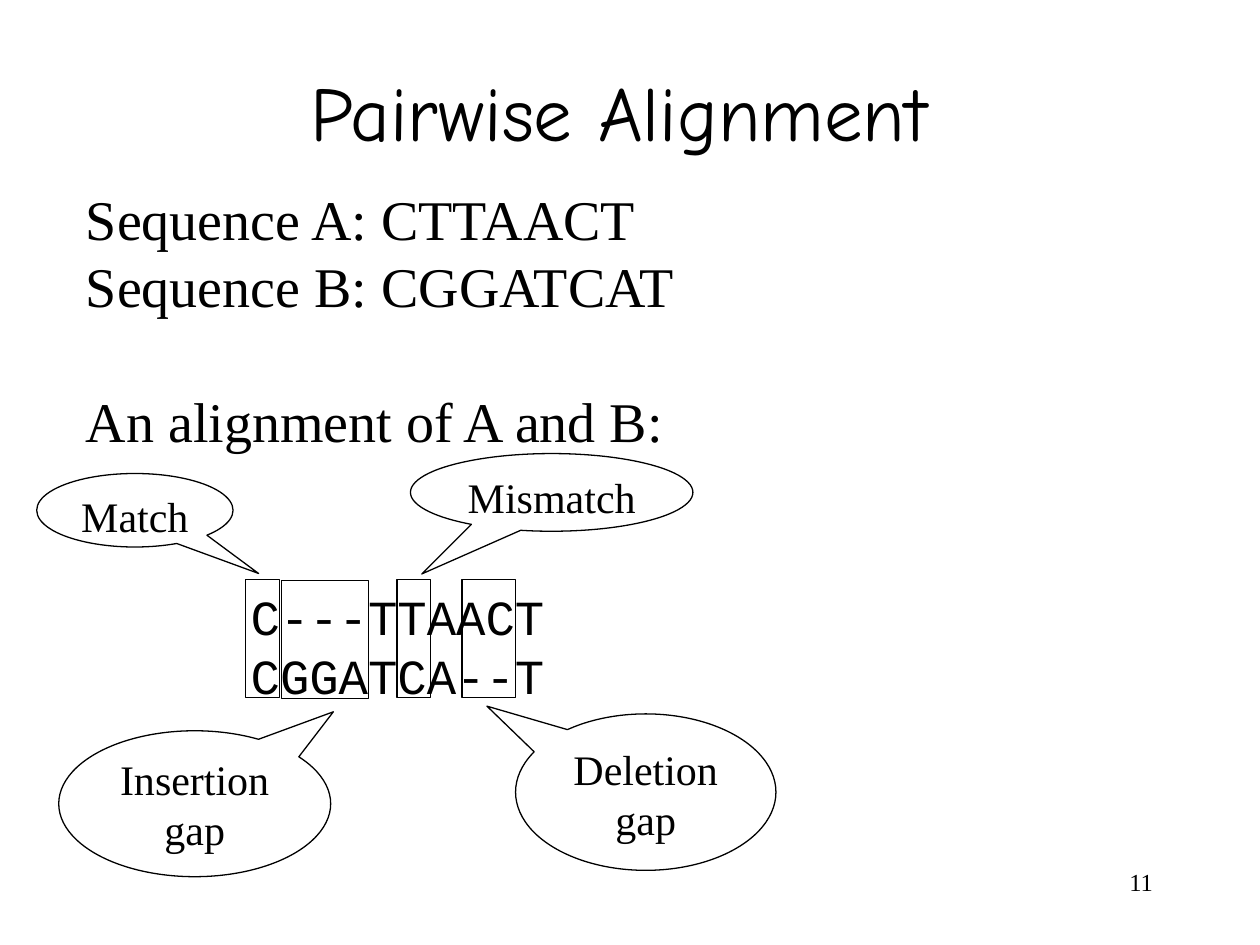
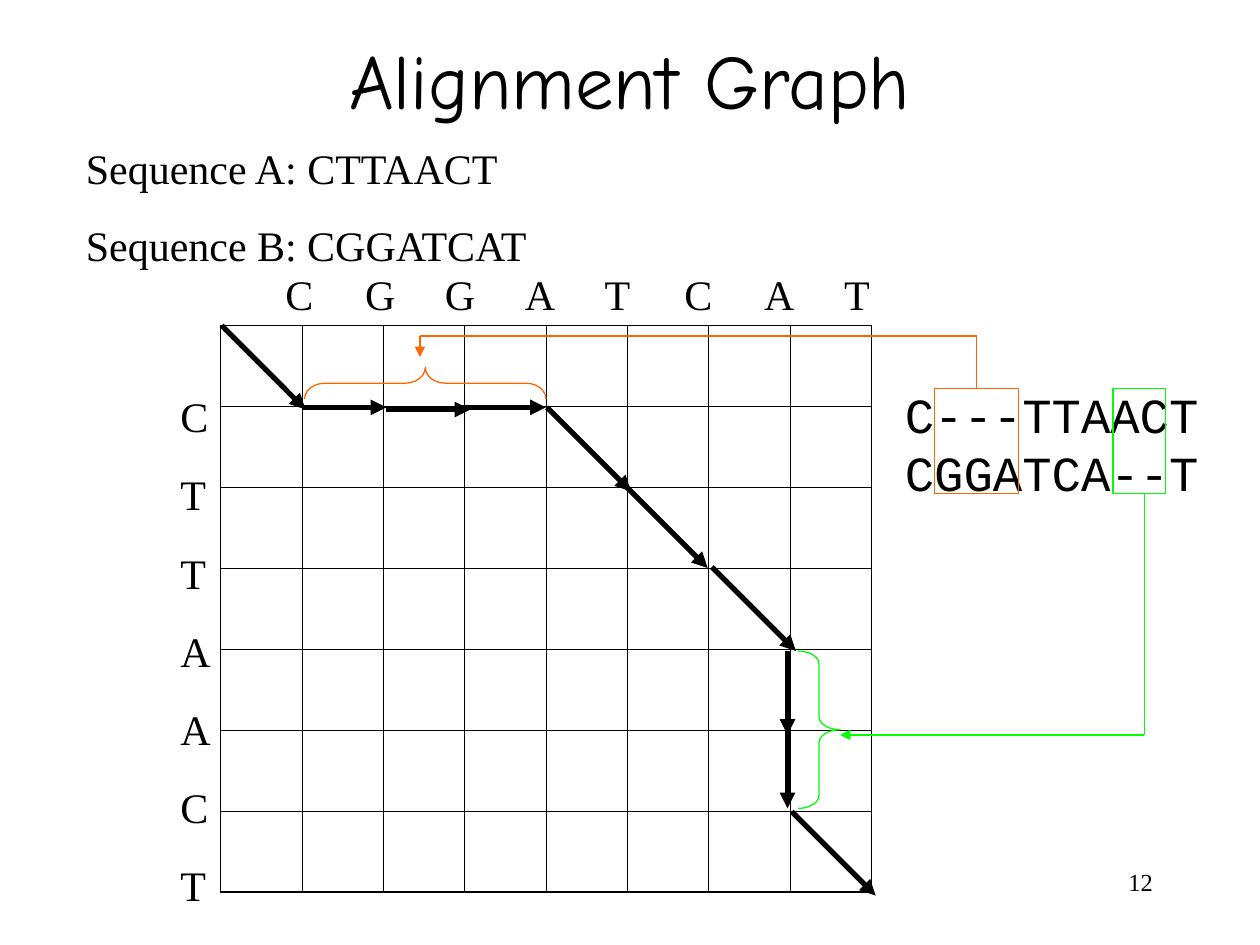
from dataclasses import dataclass
from typing import NamedTuple

from lxml.etree import SubElement
from pptx import Presentation
from pptx.dml.color import RGBColor
from pptx.enum.shapes import MSO_CONNECTOR, MSO_SHAPE
from pptx.enum.text import MSO_ANCHOR, MSO_AUTO_SIZE, PP_ALIGN
from pptx.oxml.ns import qn
from pptx.util import Inches, Pt

COLUMNS, ROWS = 120, 90
WIDTH, HEIGHT = Inches(10), Inches(7.5)


@dataclass(frozen=True)
class Theme:
    ink: str = "000000"
    paper: str = "FFFFFF"
    insertion: str = "FF6600"
    deletion: str = "00FF00"
    title_font: str = "Comic Neue"
    body_font: str = "Times New Roman"
    code_font: str = "Courier New"
    title_size: int = 44
    body_size: int = 32
    code_size: int = 28
    label_size: int = 24
    number_size: int = 14
    thin: float = 0.75
    path_width: float = 3
    inner_border: float = 0.45
    outer_border: float = 1.08


class Area(NamedTuple):
    left: float
    top: float
    width: float
    height: float


class Callout(NamedTuple):
    text: str
    area: Area
    tip: tuple[float, float]
    anchor: MSO_ANCHOR = MSO_ANCHOR.TOP


class Step(NamedTuple):
    left: float
    top: float
    across: int
    down: int


class GapLink(NamedTuple):
    color: str
    box: Area
    brace: Area
    kind: MSO_SHAPE
    curve: float
    rotation: int
    route: tuple[tuple[float, float], ...]


THEME = Theme()
SEQUENCE_A, SEQUENCE_B = "CTTAACT", "CGGATCAT"
NAMED_SEQUENCES = (f"Sequence A: {SEQUENCE_A}", f"Sequence B: {SEQUENCE_B}")
ALIGNED = ("C---TTAACT", "CGGATCA--T")
GRAPH = Area(21, 31, 62, 54)
STEP_LENGTH = 8
HEADER_PITCH = 7.6

GAP_BOXES = (
    Area(26.8, 55.3, 8.3, 11.2),
    Area(37.8, 55.2, 3.2, 11.2),
    Area(44, 55.2, 5.1, 11.2),
    Area(23.4, 55.2, 3.2, 11.2),
)
CALLOUTS = (
    Callout("Insertion gap", Area(5.6, 69.6, 25.9, 13.9), (0.51, -0.63), MSO_ANCHOR.MIDDLE),
    Callout("Match", Area(3.5, 45.1, 18.7, 7), (0.63, 0.86)),
    Callout("Mismatch", Area(39.1, 43.2, 26.9, 7.4), (-0.46, 1.05)),
    Callout("Deletion gap", Area(49.1, 68, 24.8, 14.9), (-0.61, -0.55)),
)
STEPS = (
    Step(21.1, 31, 1, 1),
    Step(28.8, 38.8, 1, 0),
    Step(36.8, 39, 1, 0),
    Step(44, 38.8, 1, 0),
    Step(52.1, 38.8, 1, 1),
    Step(59.4, 46.1, 1, 1),
    Step(67.8, 54, 1, 1),
    Step(75, 62, 0, 1),
    Step(75, 69, 0, 1),
    Step(75.4, 77.3, 1, 1),
)
LINKS = (
    GapLink(THEME.deletion, Area(106, 37, 5, 10), Area(76, 62, 4, 15),
            MSO_SHAPE.RIGHT_BRACE, 0.31, 0, ((109, 47), (109, 70), (80, 70))),
    GapLink(THEME.insertion, Area(89, 37, 8, 10), Area(39, 25, 3, 23),
            MSO_SHAPE.LEFT_BRACE, 0.64, 90, ((93, 37), (93, 32), (40, 32), (40, 34))),
)


def across(columns: float) -> int:
    return round(WIDTH * columns / COLUMNS)


def down(rows: float) -> int:
    return round(HEIGHT * rows / ROWS)


def place(area: Area) -> tuple[int, int, int, int]:
    return across(area.left), down(area.top), across(area.width), down(area.height)


def write(frame, text: str, *, size: int, font: str = THEME.body_font,
          align=PP_ALIGN.LEFT, anchor=MSO_ANCHOR.TOP, wrap: bool = True,
          grow: bool = False, before: tuple = (), spacing: float = 1) -> None:
    frame.word_wrap = wrap
    frame.vertical_anchor = anchor
    frame.auto_size = MSO_AUTO_SIZE.SHAPE_TO_FIT_TEXT if grow else MSO_AUTO_SIZE.NONE
    frame.text = text
    for index, para in enumerate(frame.paragraphs):
        para.alignment = align
        para.line_spacing = spacing
        para.space_before = Pt(before[index] if index < len(before) else 0)
        for span in para.runs:
            span.font.size = Pt(size)
            span.font.name = font
            span.font.color.rgb = RGBColor.from_string(THEME.ink)


def add_text(page, area: Area, text: str, **style):
    box = page.shapes.add_textbox(*place(area))
    write(box.text_frame, text, **style)
    return box


def add_outline(page, kind, area: Area, color: str = THEME.ink):
    shape = page.shapes.add_shape(kind, *place(area))
    shape.shadow.inherit = False
    shape.fill.background()
    shape.line.color.rgb = RGBColor.from_string(color)
    shape.line.width = Pt(THEME.thin)
    return shape


def add_line(page, start: tuple, end: tuple, *, color: str = THEME.ink,
             width: float = THEME.thin, arrow: bool = False) -> None:
    line = page.shapes.add_connector(
        MSO_CONNECTOR.STRAIGHT, across(start[0]), down(start[1]), across(end[0]), down(end[1]))
    line.line.color.rgb = RGBColor.from_string(color)
    line.line.width = Pt(width)
    properties = line.element.spPr
    if arrow:
        SubElement(properties.find(qn("a:ln")), qn("a:tailEnd"), type="triangle")
    SubElement(properties, qn("a:effectLst"))


def add_border(cell, side: str, width: float) -> None:
    border = SubElement(cell._tc.get_or_add_tcPr(), qn(f"a:ln{side}"), w=str(Pt(width)))
    fill = SubElement(border, qn("a:solidFill"))
    SubElement(fill, qn("a:srgbClr"), val=THEME.ink)


def add_graph(page) -> None:
    row_count, column_count = len(SEQUENCE_A), len(SEQUENCE_B)
    table = page.shapes.add_table(row_count, column_count, *place(GRAPH)).table
    table.first_row = table.horz_banding = False
    for row in range(row_count):
        for column in range(column_count):
            cell = table.cell(row, column)
            outer = {"L": column == 0, "R": column == column_count - 1,
                     "T": row == 0, "B": row == row_count - 1}
            for side, is_outer in outer.items():
                add_border(cell, side, THEME.outer_border if is_outer else THEME.inner_border)
            cell.fill.background()


def add_column_letters(page) -> None:
    box = add_text(page, Area(26, 25, 75.2, 6), "\t".join(SEQUENCE_B),
                   size=THEME.label_size, grow=True)
    properties = box.text_frame.paragraphs[0]._p.get_or_add_pPr()
    tabs = SubElement(properties, qn("a:tabLst"))
    for index in range(1, len(SEQUENCE_B)):
        SubElement(tabs, qn("a:tab"), pos=str(across(index * HEADER_PITCH)), algn="l")


def add_alignment(page, area: Area, wrap: bool) -> None:
    add_text(page, area, "\v".join(ALIGNED), size=THEME.code_size,
             font=THEME.code_font, wrap=wrap, grow=True)


def add_page(deck, title: str, title_area: Area, number: int):
    page = deck.slides.add_slide(deck.slide_layouts[6])
    page.background.fill.solid()
    page.background.fill.fore_color.rgb = RGBColor.from_string(THEME.paper)
    add_text(page, Area(86, 82, 25, 6), str(number),
             size=THEME.number_size, align=PP_ALIGN.RIGHT)
    add_text(page, title_area, title, size=THEME.title_size, font=THEME.title_font,
             align=PP_ALIGN.CENTER, anchor=MSO_ANCHOR.MIDDLE)
    return page


def build_pairwise_alignment(deck) -> None:
    page = add_page(deck, "Pairwise Alignment", Area(8, 3, 102, 15), 11)
    add_alignment(page, Area(22.7, 55.3, 59, 12.5), wrap=True)
    add_text(page, Area(7, 17, 102, 64),
             "\n".join((*NAMED_SEQUENCES, "An alignment of A and B:")),
             size=THEME.body_size, before=(0, 0, 38.3))
    for area in GAP_BOXES:
        add_outline(page, MSO_SHAPE.RECTANGLE, area)
    for callout in CALLOUTS:
        bubble = add_outline(page, MSO_SHAPE.OVAL_CALLOUT, callout.area)
        bubble.adjustments[0], bubble.adjustments[1] = callout.tip
        write(bubble.text_frame, callout.text, size=THEME.label_size,
              align=PP_ALIGN.CENTER, anchor=callout.anchor)


def build_alignment_graph(deck) -> None:
    page = add_page(deck, "Alignment Graph", Area(9, 0, 102, 15), 12)
    add_text(page, Area(7, 13, 102, 54), "\n".join(NAMED_SEQUENCES),
             size=THEME.label_size, before=(0, 15))
    add_graph(page)
    add_column_letters(page)
    add_text(page, Area(16, 34, 6.7, 53.3), "\v".join(SEQUENCE_A),
             size=THEME.label_size, spacing=1.55, grow=True)
    for step in STEPS:
        end = (step.left + step.across * STEP_LENGTH, step.top + step.down * STEP_LENGTH)
        add_line(page, (step.left, step.top), end, width=THEME.path_width, arrow=True)
    add_alignment(page, Area(85, 36, 30.4, 12.5), wrap=False)
    for link in LINKS:
        add_outline(page, MSO_SHAPE.RECTANGLE, link.box, link.color)
        brace = add_outline(page, link.kind, link.brace, link.color)
        brace.adjustments[0] = link.curve
        brace.rotation = link.rotation
        for start, end in zip(link.route, link.route[1:]):
            add_line(page, start, end, color=link.color, arrow=end == link.route[-1])


def main() -> None:
    deck = Presentation()
    deck.slide_width, deck.slide_height = WIDTH, HEIGHT
    build_pairwise_alignment(deck)
    build_alignment_graph(deck)
    deck.save("out.pptx")


if __name__ == "__main__":
    main()
